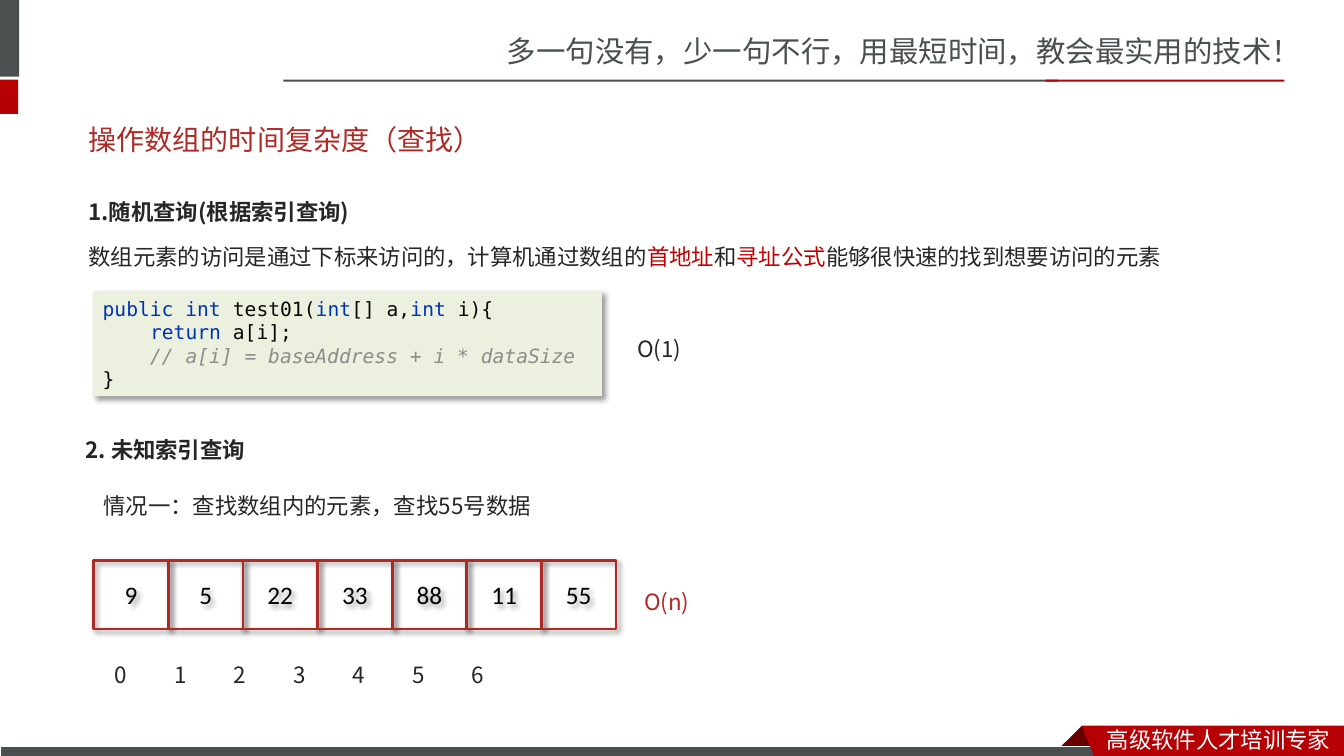
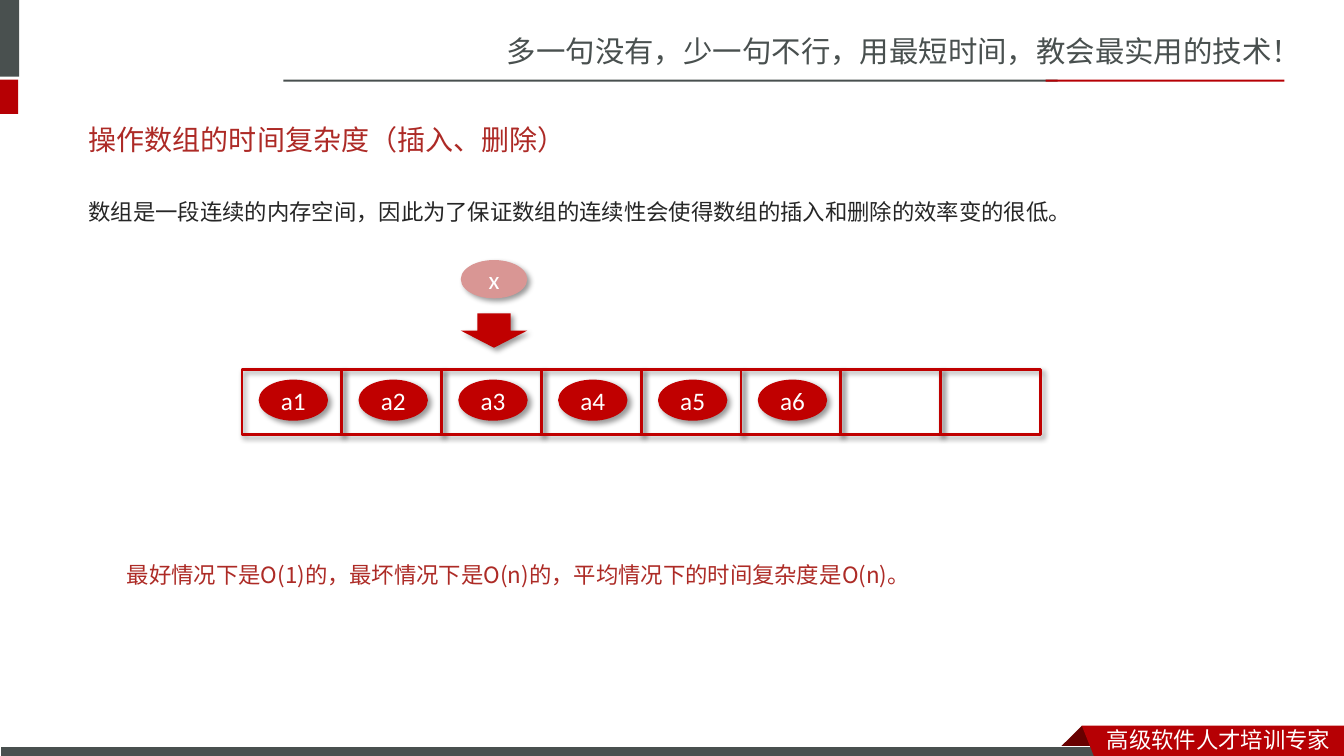
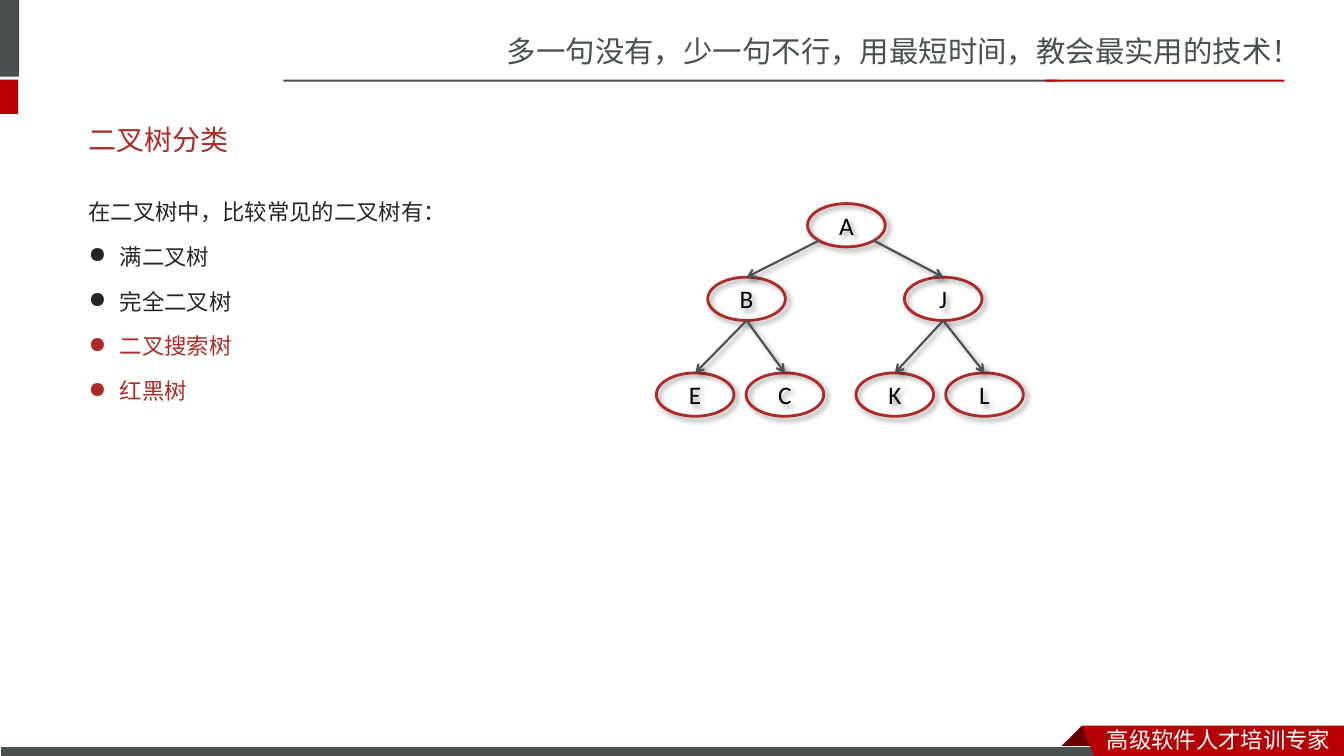
"""Build three lecture slides on array complexity and binary trees."""
import dataclasses
import math

import pptx
import pptx.dml.color
import pptx.enum.shapes
import pptx.enum.text
import pptx.oxml.ns
import pptx.util
from lxml import etree

Inches = pptx.util.Inches
Pt = pptx.util.Pt
qn = pptx.oxml.ns.qn
Shapes = pptx.enum.shapes.MSO_SHAPE
Anchor = pptx.enum.text.MSO_ANCHOR
Align = pptx.enum.text.PP_ALIGN


@dataclasses.dataclass(frozen=True)
class Theme:
    """Colours, fonts and type sizes of the deck."""

    gray: str = "49504F"
    band_red: str = "B60004"
    fold_red: str = "680000"
    title_red: str = "AD2A26"
    red: str = "AD2B26"
    strong_red: str = "C00000"
    pink: str = "D99694"
    ink: str = "262626"
    black: str = "000000"
    white: str = "FFFFFF"
    code_fill: str = "EBF1DE"
    keyword: str = "0033B3"
    code: str = "080808"
    remark: str = "8C8C8C"
    tagline: dict = dataclasses.field(default_factory=lambda: {"name": "Noto Sans CJK SC", "size": Pt(21)})
    footer: dict = dataclasses.field(default_factory=lambda: {"name": "Noto Sans CJK SC", "size": Pt(16)})
    title: dict = dataclasses.field(default_factory=lambda: {"name": "Calibri", "size": Pt(20)})
    body: dict = dataclasses.field(default_factory=lambda: {"name": "Noto Sans CJK JP", "size": Pt(16)})
    label: dict = dataclasses.field(default_factory=lambda: {"name": "Calibri", "size": Pt(18)})
    listing: dict = dataclasses.field(default_factory=lambda: {"name": "DejaVu Sans Mono", "size": Pt(14)})
    body_spacing: dict = dataclasses.field(
        default_factory=lambda: {"line_spacing": Pt(29), "space_before": Pt(3)})


THEME = Theme()
BOLD = {"bold": True}
ITALIC = {"italic": True}


def apply(target, values):
    """Set every named attribute on the target."""
    for name, value in values.items():
        setattr(target, name, value)


def rgb(colour):
    """Turn a hex string into a colour."""
    return pptx.dml.color.RGBColor.from_string(colour)


class Deck:
    """Hold the theme, the presentation and the current slide."""

    def __init__(self, theme):
        """Start an empty wide presentation."""
        self.theme = theme
        self.presentation = pptx.Presentation()
        apply(self.presentation, {"slide_width": Inches(13.33), "slide_height": Inches(7.5)})
        self.slide = None

    def new_slide(self, title):
        """Add a slide with the shared frame and a title."""
        self.slide = self.presentation.slides.add_slide(self.presentation.slide_layouts[5])
        self.frame()
        placeholder = self.slide.shapes.title
        apply(placeholder, {"left": Inches(0.78), "top": Inches(1.1),
                            "width": Inches(11.7), "height": Inches(0.57)})
        self.set_text(placeholder, [[(title, self.theme.title_red)]], self.theme.title, anchor=Anchor.MIDDLE)

    def frame(self):
        """Draw the tagline, side bands, rules and footer."""
        theme = self.theme
        self.text(4.93, 0.28, 8.4, 0.47,
                  [[("多一句没有，少一句不行，用最短时间，教会最实用的技术！", theme.gray)]], theme.tagline, {})
        for left, top, width, height, fill in (
                (0, 0, 0.19, 0.76, theme.gray), (0, 0.79, 0.18, 0.34, theme.band_red),
                (2.81, 0.79, 7.68, 0.02, theme.gray), (10.37, 0.79, 2.37, 0.02, theme.band_red)):
            self.shape(Shapes.RECTANGLE, left, top, width, height, fill)
        self.outline([(10.73, 7.2), (10.95, 7.42), (10.94, 7.43), (10.52, 7.43), (10.51, 7.42)], theme.fold_red)
        self.shape(Shapes.RECTANGLE, 0, 7.41, 10.99, 0.12, theme.gray, theme.white, 0.75)
        self.outline([(10.73, 7.2), (13.33, 7.2), (13.33, 7.5), (10.85, 7.5)], theme.band_red)
        self.text(10.88, 7.15, 2.45, 0.37, [[("高级软件人才培训专家", theme.white)]], theme.footer, {})

    def set_text(self, shape, paragraphs, style, spacing=None, align=Align.LEFT, anchor=Anchor.TOP, wrap=True):
        """Fill a shape with paragraphs made of (text, colour, extras) runs."""
        frame = shape.text_frame
        apply(frame, {"word_wrap": wrap, "vertical_anchor": anchor,
                      "auto_size": pptx.enum.text.MSO_AUTO_SIZE.NONE})
        for index, runs in enumerate(paragraphs):
            paragraph = frame.add_paragraph() if index else frame.paragraphs[0]
            apply(paragraph, {"alignment": align, **(spacing or {})})
            for text, colour, *extras in runs:
                run = paragraph.add_run()
                run.text = text
                apply(run.font, style)
                for extra in extras:
                    apply(run.font, extra)
                run.font.color.rgb = rgb(colour)
        return frame.paragraphs

    def text(self, left, top, width, height, paragraphs, style=None, spacing=None):
        """Add a text box and return its paragraphs."""
        box = self.slide.shapes.add_textbox(Inches(left), Inches(top), Inches(width), Inches(height))
        spacing = self.theme.body_spacing if spacing is None else spacing
        return self.set_text(box, paragraphs, style or self.theme.body, spacing)

    def paint(self, shape, fill, line, weight):
        """Set the fill and line of a shape and drop its shadow."""
        if fill:
            shape.fill.solid()
            shape.fill.fore_color.rgb = rgb(fill)
        else:
            shape.fill.background()
        if line:
            shape.line.color.rgb = rgb(line)
            shape.line.width = Pt(weight)
        else:
            shape.line.fill.background()
        shape.shadow.inherit = False

    def shape(self, kind, left, top, width, height, fill=None, line=None, weight=2):
        """Add a flat preset shape."""
        shape = self.slide.shapes.add_shape(kind, Inches(left), Inches(top), Inches(width), Inches(height))
        self.paint(shape, fill, line, weight)
        return shape

    def raised(self, kind, left, top, width, height, fill=None, line=None, label="", colour=None):
        """Add a shadowed shape with an optional centred label."""
        shape = self.shape(kind, left, top, width, height, fill, line)
        self.cast_shadow(shape)
        if label:
            self.set_text(shape, [[(label, colour)]], self.theme.label,
                          align=Align.CENTER, anchor=Anchor.MIDDLE, wrap=False)
        return shape

    def outline(self, points, fill):
        """Add a closed polygon."""
        corners = [(Inches(x), Inches(y)) for x, y in points]
        builder = self.slide.shapes.build_freeform(*corners[0], scale=1.0)
        builder.add_line_segments(corners[1:], close=True)
        self.paint(builder.convert_to_shape(), fill, None, 0)

    def cast_shadow(self, shape):
        """Give a shape or connector a soft shadow."""
        properties = shape.element.spPr
        effects = properties.find(qn("a:effectLst"))
        if effects is None:
            effects = etree.SubElement(properties, qn("a:effectLst"))
        shadow = etree.SubElement(effects, qn("a:outerShdw"), blurRad=str(Pt(4)), dist=str(Pt(3)),
                                  dir="2700000", algn="tl", rotWithShape="0")
        colour = etree.SubElement(shadow, qn("a:srgbClr"), val=self.theme.black)
        etree.SubElement(colour, qn("a:alpha"), val="40000")

    def arrow(self, start, end):
        """Draw a shadowed arrow between two points."""
        connector = self.slide.shapes.add_connector(
            pptx.enum.shapes.MSO_CONNECTOR.STRAIGHT, *(Inches(value) for value in (*start, *end)))
        connector.line.color.rgb = rgb(self.theme.gray)
        connector.line.width = Pt(1.5)
        etree.SubElement(connector.element.spPr.find(qn("a:ln")), qn("a:tailEnd"), type="arrow")
        self.cast_shadow(connector)

    def indent(self, paragraph, margin, bullet=None):
        """Indent a paragraph, hanging it from a bullet if given."""
        properties = paragraph._p.get_or_add_pPr()
        properties.set("marL", str(Inches(margin)))
        if bullet:
            properties.set("indent", str(-Inches(margin)))
            etree.SubElement(properties, qn("a:buChar"), char=bullet)

    def tab_stops(self, paragraph, step, count):
        """Set evenly spaced tab stops."""
        stops = etree.SubElement(paragraph._p.get_or_add_pPr(), qn("a:tabLst"))
        for number in range(1, count + 1):
            etree.SubElement(stops, qn("a:tab"), pos=str(Inches(step * number)), algn="l")

    def code(self, left, top, width, height, lines):
        """Add a code panel from (indent, runs) lines."""
        panel = self.raised(Shapes.RECTANGLE, left, top, width, height, self.theme.code_fill)
        paragraphs = self.set_text(panel, [runs for _, runs in lines], self.theme.listing, anchor=Anchor.MIDDLE)
        for paragraph, (margin, _) in zip(paragraphs, lines):
            self.indent(paragraph, margin)


def search_slide(deck):
    """Build the slide on searching an array."""
    theme = deck.theme
    ink, keyword, code = theme.ink, theme.keyword, theme.code
    deck.new_slide("操作数组的时间复杂度（查找）")
    deck.text(0.78, 1.78, 11.7, 1.16, [
        [("1.随机查询(根据索引查询)", ink, BOLD)],
        [("数组元素的访问是通过下标来访问的，计算机通过数组的", ink), ("首地址", theme.strong_red),
         ("和", ink), ("寻址公式", theme.strong_red), ("能够很快速的找到想要访问的元素", ink)]])
    deck.code(0.92, 2.89, 5.05, 1.04, [
        (0, [("public int ", keyword), ("test01(", code), ("int", keyword), ("[] a,", code),
             ("int ", keyword), ("i){", code)]),
        (0.47, [("return ", keyword), ("a[i];", code)]),
        (0.47, [("// a[i] = baseAddress + i * dataSize", theme.remark, ITALIC)]),
        (0, [("}", code)])])
    deck.text(6.22, 3.14, 0.89, 0.53, [[("O(1)", ink)]])
    deck.text(0.75, 4.14, 11.7, 0.57, [[("2. 未知索引查询", ink, BOLD)]])
    deck.text(0.93, 4.7, 5.1, 0.7, [[("情况一：查找数组内的元素，查找55号数据", ink)]])
    values = (9, 5, 22, 33, 88, 11, 55)
    for index, value in enumerate(values):
        deck.raised(Shapes.RECTANGLE, 0.93 + 0.74 * index, 5.56, 0.74, 0.68,
                    line=theme.red, label=str(value), colour=theme.black)
    numbers = "\t".join(str(index) for index in range(len(values)))
    indexes = deck.text(1.04, 6.37, 5.34, 0.54, [[(numbers, ink)]])
    deck.tab_stops(indexes[0], 0.59, len(values) - 1)
    deck.text(6.29, 5.65, 1.45, 0.67, [[("O(n)", theme.red)]])


def insert_slide(deck):
    """Build the slide on inserting and deleting."""
    theme = deck.theme
    red, white = theme.strong_red, theme.white
    deck.new_slide("操作数组的时间复杂度（插入、删除）")
    deck.text(0.78, 1.78, 11.7, 0.59,
              [[("数组是一段连续的内存空间，因此为了保证数组的连续性会使得数组的插入和删除的效率变的很低。", theme.ink)]])
    cell_width, cell_count, used_count = 0.99, 8, 6
    for index in range(cell_count):
        left = 2.4 + cell_width * index
        deck.raised(Shapes.RECTANGLE, left, 3.67, cell_width, 0.64, line=red)
        if index < used_count:
            deck.raised(Shapes.OVAL, left + 0.18, 3.78, 0.66, 0.38, red, red, f"a{index + 1}", white)
    deck.raised(Shapes.OVAL, 4.57, 2.58, 0.66, 0.38, theme.pink, label="x", colour=white)
    deck.raised(Shapes.DOWN_ARROW, 4.57, 3.11, 0.66, 0.34, red)
    deck.text(1.16, 5.38, 8.77, 0.47,
              [[("最好情况下是O(1)的，最坏情况下是O(n)的，平均情况下的时间复杂度是O(n)。", theme.red)]])


def tree_slide(deck):
    """Build the slide on kinds of binary tree."""
    theme = deck.theme
    deck.new_slide("二叉树分类")
    kinds = (("满二叉树", theme.ink), ("完全二叉树", theme.ink), ("二叉搜索树", theme.red), ("红黑树", theme.red))
    paragraphs = deck.text(0.78, 1.78, 5.5, 2.52,
                           [[("在二叉树中，比较常见的二叉树有：", theme.ink)]] + [[kind] for kind in kinds])
    for paragraph in paragraphs[1:]:
        deck.indent(paragraph, 0.31, "●")
    width, height = 0.77, 0.43
    nodes = {"A": (8.01, 2.02), "B": (7.02, 2.75), "J": (8.97, 2.75), "C": (7.4, 3.7),
             "E": (6.51, 3.7), "L": (9.38, 3.7), "K": (8.49, 3.7)}
    for name, (left, top) in nodes.items():
        deck.raised(Shapes.OVAL, left, top, width, height, line=theme.red, label=name, colour=theme.black)
    edges = (("A", "B", -45), ("A", "J", 45), ("B", "E", 0), ("B", "C", 0), ("J", "K", 0), ("J", "L", 0))
    for parent, child, degrees in edges:
        angle = math.radians(degrees)
        left, top = nodes[parent]
        start = (left + width / 2 * (1 + math.sin(angle)), top + height / 2 * (1 + math.cos(angle)))
        deck.arrow(start, (nodes[child][0] + width / 2, nodes[child][1]))


def main():
    """Build and save the deck."""
    deck = Deck(THEME)
    for build in (search_slide, insert_slide, tree_slide):
        build(deck)
    deck.presentation.save("out.pptx")


if __name__ == "__main__":
    main()
